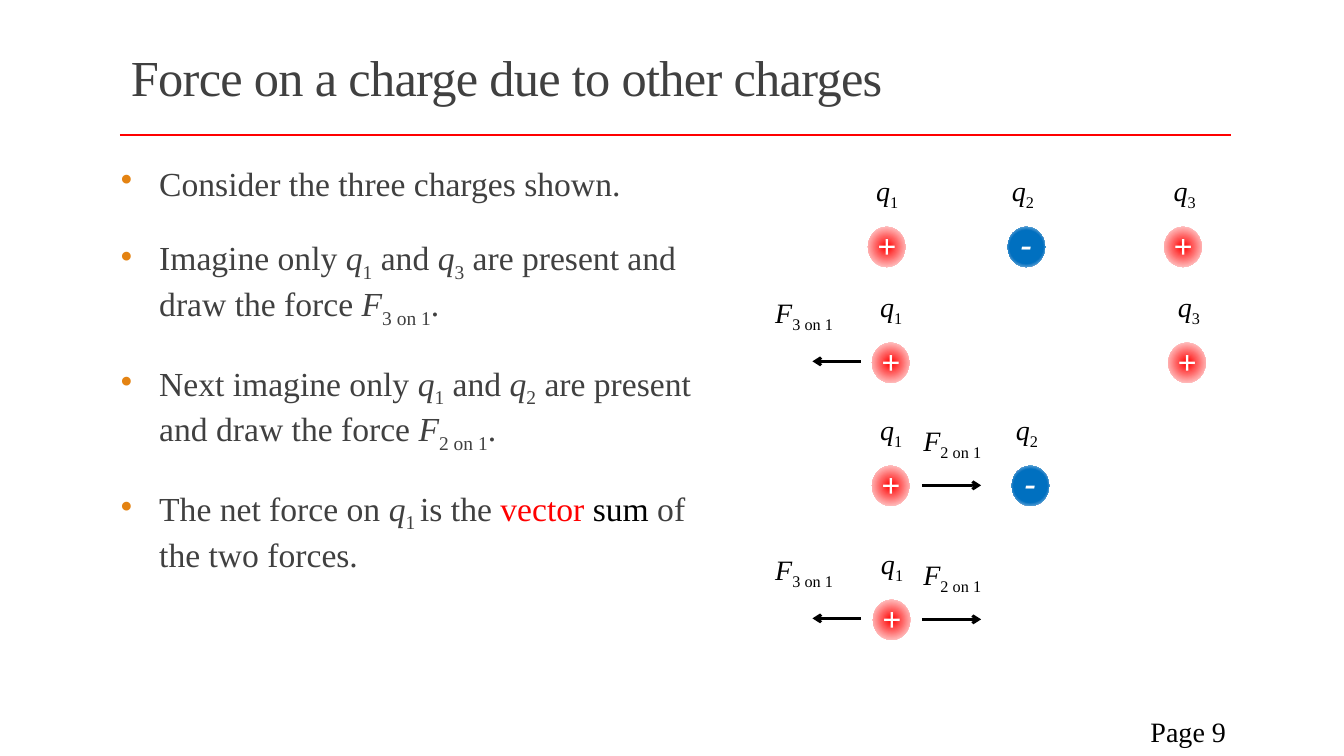
"""Build a slide on the net force that two charges exert on a third."""
from dataclasses import dataclass

import lxml.etree
import pptx
import pptx.dml.color
import pptx.enum.shapes
import pptx.enum.text
import pptx.oxml.ns
import pptx.shapes.autoshape
import pptx.slide
import pptx.text.text
import pptx.util

RGB = pptx.dml.color.RGBColor
RED = RGB(0xFF, 0x00, 0x00)
BLUE = RGB(0x00, 0x70, 0xC0)
WHITE = RGB(0xFF, 0xFF, 0xFF)
BLACK = RGB(0x00, 0x00, 0x00)
GREY = RGB(0x40, 0x40, 0x40)
ORANGE = RGB(0xE4, 0x83, 0x12)
PEACH = RGB(0xF6, 0xC7, 0x91)
SAND = RGB(0xF9, 0xDA, 0xB6)

FONT = "Times New Roman"
WIDTH = pptx.util.Inches(13.33)
HEIGHT = pptx.util.Inches(7.5)
CHARGE_WIDTH, CHARGE_HEIGHT = 2.78, 5.33
LEFT = pptx.enum.text.PP_ALIGN.LEFT
CENTER = pptx.enum.text.PP_ALIGN.CENTER
RIGHT = pptx.enum.text.PP_ALIGN.RIGHT
qn = pptx.oxml.ns.qn


@dataclass(frozen=True)
class Span:
    text: str
    italic: bool = False
    subscript: bool = False
    color: RGB | None = None


@dataclass(frozen=True)
class Area:
    """Left, top, width and height in percent of the slide."""
    left: float
    top: float
    width: float
    height: float


@dataclass(frozen=True)
class Charge:
    index: str
    offset: float
    label_shift: float
    sign: str
    sign_shift: float
    stops: tuple[tuple[int, RGB], ...]


@dataclass(frozen=True)
class Force:
    index: str
    start: float
    end: float
    arrow_drop: float
    label_left: float
    label_rise: float


@dataclass(frozen=True)
class Scene:
    left: float
    top: float
    charges: tuple[Charge, ...]
    forces: tuple[Force, ...] = ()


def symbol(letter: str, index: str) -> list[Span]:
    return [Span(letter, italic=True), Span(index, subscript=True)]


POSITIVE = ((0, RED), (100, WHITE), (100, PEACH), (100, WHITE))
NEGATIVE = ((60, BLUE), (100, WHITE), (100, PEACH), (100, SAND))
Q1 = Charge("1", 0, 0.6, "+", -0.27, POSITIVE)
Q2 = Charge("2", 10.4, 0.3, "-", -0.53, NEGATIVE)
Q3 = Charge("3", 22.05, 0.7, "+", -0.27, POSITIVE)
PUSH = Force("3 on 1", 64.05, 60.45, 2.47, 57.68, 6.2)
PULL = Force("2 on 1", 68.6, 73, 2.6, 68.7, 5.6)
SCENES = (
    Scene(64.58, 30, (Q1, Q2, Q3)),
    Scene(64.88, 45.33, (Q1, Q3), (PUSH,)),
    Scene(64.88, 61.6, (Q1, Q2), (PULL,)),
    Scene(64.95, 79.33, (Q1,), (PUSH, PULL)),
)
BULLETS = (
    [Span("Consider the three charges shown.")],
    [Span("Imagine only "), *symbol("q", "1"), Span(" and "), *symbol("q", "3"),
     Span(" are present and \ndraw the force "), *symbol("F", "3 on 1"), Span(".")],
    [Span("Next imagine only "), *symbol("q", "1"), Span(" and "), *symbol("q", "2"),
     Span(" are present \nand draw the force "), *symbol("F", "2 on 1"), Span(".")],
    [Span("The net force on "), *symbol("q", "1 "), Span("is the "),
     Span("vector ", color=RED), Span("sum ", color=BLACK), Span("of \nthe two forces.")],
)


def across(percent: float) -> int:
    return round(WIDTH * percent / 100)


def down(percent: float) -> int:
    return round(HEIGHT * percent / 100)


def place(area: Area) -> tuple[int, int, int, int]:
    return across(area.left), down(area.top), across(area.width), down(area.height)


def write(para: pptx.text.text._Paragraph, spans: list[Span], size: float,
          color: RGB, bold: bool = False) -> None:
    for span in spans:
        for number, line in enumerate(span.text.split("\n")):
            if number:
                para.add_line_break()
            run = para.add_run()
            run.text = line
            run.font.name = FONT
            run.font.size = pptx.util.Pt(size)
            run.font.bold = bold
            run.font.italic = span.italic
            run.font.color.rgb = span.color or color
            if span.subscript:
                run.font._element.set("baseline", "-25000")


def add_text(page: pptx.slide.Slide, area: Area, spans: list[Span], size: float,
             color: RGB = BLACK, align: pptx.enum.text.PP_ALIGN = LEFT, bold: bool = False,
             inset: bool = False) -> pptx.shapes.autoshape.Shape:
    box = page.shapes.add_textbox(*place(area))
    frame = box.text_frame
    frame.word_wrap = True
    if inset:
        frame.vertical_anchor = pptx.enum.text.MSO_ANCHOR.MIDDLE
    else:
        frame.margin_left = frame.margin_top = frame.margin_right = frame.margin_bottom = 0
    frame.paragraphs[0].alignment = align
    write(frame.paragraphs[0], spans, size, color, bold)
    return box


def add_line(page: pptx.slide.Slide, start: float, end: float, top: float,
             color: RGB, arrow: bool = False) -> None:
    line = page.shapes.add_connector(pptx.enum.shapes.MSO_CONNECTOR.STRAIGHT,
                                     across(start), down(top), across(end), down(top))
    line.line.color.rgb = color
    line.line.width = pptx.util.Pt(2)
    if arrow:
        lxml.etree.SubElement(line.line._get_or_add_ln(), qn("a:tailEnd"), type="arrow")
    lxml.etree.SubElement(line._element.spPr, qn("a:effectLst"))


def fill_radial(shape: pptx.shapes.autoshape.Shape, stops: tuple[tuple[int, RGB], ...]) -> None:
    gradient = lxml.etree.Element(qn("a:gradFill"), rotWithShape="1")
    stop_list = lxml.etree.SubElement(gradient, qn("a:gsLst"))
    for position, color in stops:
        stop = lxml.etree.SubElement(stop_list, qn("a:gs"), pos=str(position * 1000))
        lxml.etree.SubElement(stop, qn("a:srgbClr"), val=str(color))
    circle = lxml.etree.SubElement(gradient, qn("a:path"), path="circle")
    lxml.etree.SubElement(circle, qn("a:fillToRect"), dict.fromkeys("ltrb", "50000"))
    shape._element.spPr.find(qn("a:prstGeom")).addnext(gradient)


def draw_charge(page: pptx.slide.Slide, charge: Charge, scene: Scene) -> None:
    left = scene.left + charge.offset
    add_text(page, Area(left + charge.label_shift, scene.top - 7.07, 2.2, 4.53),
             symbol("q", charge.index), 20)
    ball = page.shapes.add_shape(pptx.enum.shapes.MSO_SHAPE.OVAL,
                                 *place(Area(left, scene.top, CHARGE_WIDTH, CHARGE_HEIGHT)))
    ball.shadow.inherit = False
    ball.line.fill.background()
    fill_radial(ball, charge.stops)
    add_text(page, Area(left + 0.08, scene.top + charge.sign_shift, 2.63, CHARGE_HEIGHT),
             [Span(charge.sign, italic=True)], 24, WHITE, CENTER, bold=True)


def draw_force(page: pptx.slide.Slide, force: Force, scene: Scene) -> None:
    add_line(page, force.start, force.end, scene.top + force.arrow_drop, BLACK, arrow=True)
    add_text(page, Area(force.label_left, scene.top - force.label_rise, 6.53, 6.13),
             symbol("F", force.index), 20)


def draw_bullets(page: pptx.slide.Slide) -> None:
    frame = page.shapes.add_textbox(*place(Area(9, 20.93, 82.65, 68.27))).text_frame
    frame.word_wrap = True
    frame.margin_left = frame.margin_right = 0
    indent = pptx.util.Inches(0.38)
    for number, spans in enumerate(BULLETS):
        para = frame.add_paragraph() if number else frame.paragraphs[0]
        properties = para._p.get_or_add_pPr()
        properties.set("marL", str(indent))
        properties.set("indent", str(-indent))
        tint = lxml.etree.SubElement(properties, qn("a:buClr"))
        lxml.etree.SubElement(tint, qn("a:srgbClr"), val=str(ORANGE))
        lxml.etree.SubElement(properties, qn("a:buChar"), char="•")
        para.space_before = pptx.util.Pt(18 if number else 0)
        para.space_after = pptx.util.Pt(6)
        write(para, spans, 24, GREY)


def main() -> None:
    deck = pptx.Presentation()
    deck.slide_width, deck.slide_height = WIDTH, HEIGHT
    page = deck.slides.add_slide(deck.slide_layouts[6])
    add_line(page, 8.93, 91.58, 17.87, RED)
    title = add_text(page, Area(9, 4.13, 82.5, 13.07),
                     [Span("Force on a charge due to other charges")], 36, GREY, inset=True)
    heading = title.text_frame.paragraphs[0]
    heading.line_spacing = 0.85
    heading.runs[0].font._element.set("spc", "-50")
    draw_bullets(page)
    for scene in SCENES:
        for charge in scene.charges:
            draw_charge(page, charge, scene)
        for force in scene.forces:
            draw_force(page, force, scene)
    add_text(page, Area(81.23, 94.13, 10.73, 5.33), [Span("Page 9")], 20,
             align=RIGHT, inset=True)
    deck.save("out.pptx")


if __name__ == "__main__":
    main()
